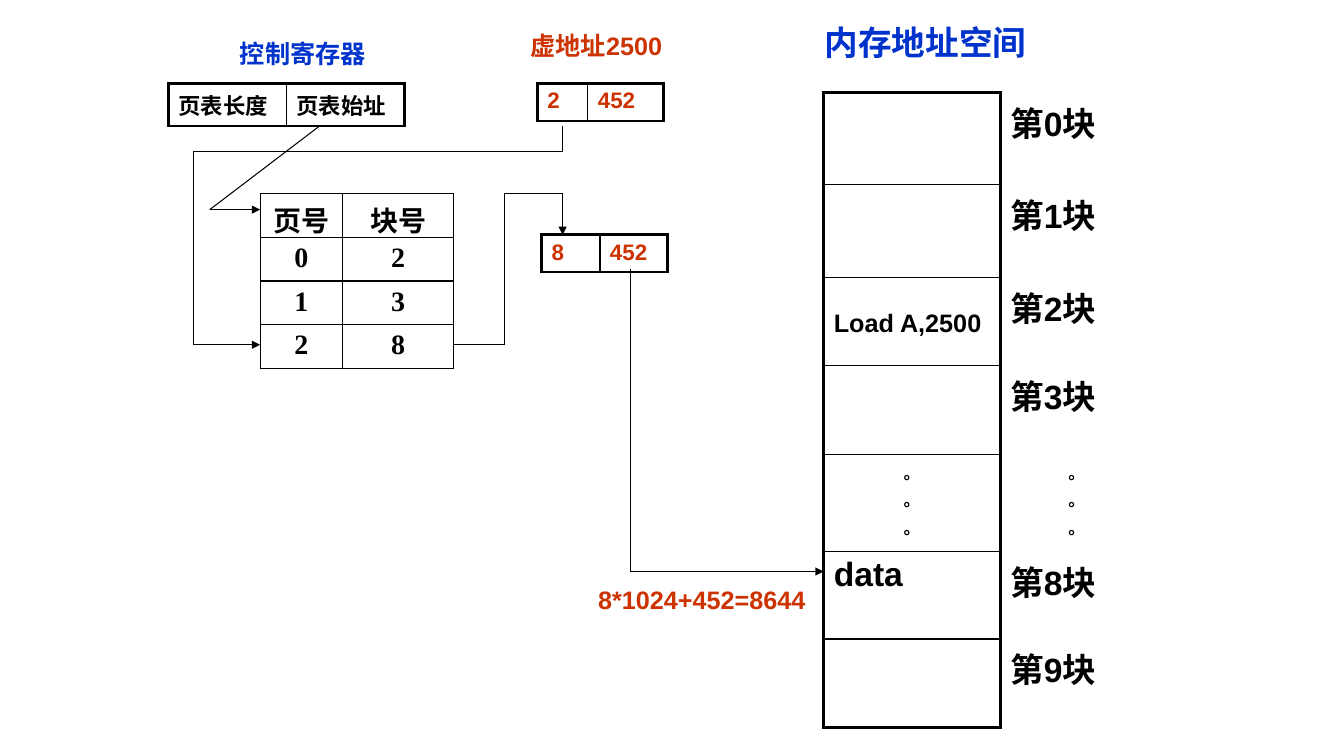
from lxml import etree
from pptx import Presentation
from pptx.dml.color import RGBColor
from pptx.enum.shapes import MSO_CONNECTOR
from pptx.enum.text import MSO_ANCHOR, MSO_AUTO_SIZE, PP_ALIGN
from pptx.oxml.ns import qn
from pptx.util import Inches, Pt

LEFT, CENTER = PP_ALIGN.LEFT, PP_ALIGN.CENTER
TOP = MSO_ANCHOR.TOP
GROW = MSO_AUTO_SIZE.SHAPE_TO_FIT_TEXT
STRAIGHT = MSO_CONNECTOR.STRAIGHT
TITLE_ONLY = 5

COLORS = {"ink": "000000", "heading": "0033CC", "address": "CC3300"}
THICK, THIN, HAIR = 2.25, 1, 0.75
DOTS = "。\n。\n。"


class PagingSlide:
    def __init__(self, deck):
        self.page = deck.slides.add_slide(deck.slide_layouts[TITLE_ONLY])

    def add_text(self, frame, text, size, color, align=LEFT, font="Arial"):
        """Put each line of text in its own paragraph, as one bold run."""
        for index, line in enumerate(text.split("\n")):
            para = frame.add_paragraph() if index else frame.paragraphs[0]
            para.alignment = align
            if index:
                para.space_before = Pt(0.2 * size)
            span = para.add_run()
            span.text = line
            span.font.name = font
            span.font.size = Pt(size)
            span.font.bold = True
            span.font.color.rgb = RGBColor.from_string(COLORS[color])

    def fill_box(self, box, text, size, color, align):
        frame = box.text_frame
        frame.word_wrap = True
        frame.auto_size = GROW
        frame.vertical_anchor = TOP
        self.add_text(frame, text, size, color, align)

    def title(self, text, left, top, width, height):
        box = self.page.shapes.title
        box.left, box.top = Inches(left), Inches(top)
        box.width, box.height = Inches(width), Inches(height)
        self.fill_box(box, text, 24, "heading", LEFT)

    def label(self, text, left, top, width, color):
        box = self.page.shapes.add_textbox(
            Inches(left), Inches(top), Inches(width), Inches(0.4))
        self.fill_box(box, text, 18, color, CENTER)

    def border(self, cell, side, width):
        """Draw one cell edge; a width of None leaves it bare."""
        edge = etree.SubElement(cell._tc.get_or_add_tcPr(), qn(f"a:{side}"))
        if width is None:
            etree.SubElement(edge, qn("a:noFill"))
            return
        edge.set("w", str(Pt(width)))
        fill = etree.SubElement(edge, qn("a:solidFill"))
        etree.SubElement(fill, qn("a:srgbClr"), val=COLORS["ink"])

    def table(self, left, top, widths, heights, rows, size, color="ink",
              align=LEFT, font="Arial", outline=THICK, framed=None):
        """Add a table whose first `framed` columns are ruled."""
        framed = framed or len(widths)
        grid = self.page.shapes.add_table(
            len(heights), len(widths), Inches(left), Inches(top),
            Inches(sum(widths)), Inches(sum(heights))).table
        grid.first_row = grid.horz_banding = False
        for column, width in zip(grid.columns, widths):
            column.width = Inches(width)
        for row, height in zip(grid.rows, heights):
            row.height = Inches(height)
        for r, texts in enumerate(rows):
            for c, text in enumerate(texts):
                cell = grid.cell(r, c)
                ruled = c < framed
                right = outline if c == framed - 1 else THIN
                edges = {
                    "lnL": outline if c in (0, framed) else THIN,
                    "lnR": right if ruled else None,
                    "lnT": (THIN if r else outline) if ruled else None,
                    "lnB": (THIN if r < len(rows) - 1 else outline) if ruled else None,
                }
                for side, width in edges.items():
                    self.border(cell, side, width)
                cell.fill.background()
                if text == DOTS:
                    self.add_text(cell.text_frame, text, 12, color, CENTER, font)
                elif text:
                    self.add_text(cell.text_frame, text, size, color, align, font)
        return grid

    def route(self, points):
        """Join points with grouped straight lines, ending in an arrowhead."""
        group = self.page.shapes.add_group_shape()
        for start, end in zip(points, points[1:]):
            connector = group.shapes.add_connector(
                STRAIGHT, *(Inches(value) for value in start + end))
            connector.line.color.rgb = RGBColor.from_string(COLORS["ink"])
            connector.line.width = Pt(HAIR)
            properties = connector._element.spPr
            if end == points[-1]:
                etree.SubElement(properties.find(qn("a:ln")),
                                 qn("a:tailEnd"), type="triangle")
            etree.SubElement(properties, qn("a:effectLst"))


def main():
    deck = Presentation()
    deck.slide_width, deck.slide_height = Inches(13.33), Inches(7.5)
    slide = PagingSlide(deck)

    slide.title("内存地址空间", 8.08, 0.17, 2.42, 0.5)
    blocks = [("", "第0块"), ("", "第1块"), ("Load A,2500", "第2块"),
              ("", "第3块"), (DOTS, DOTS), ("data", "第8块"), ("", "第9块")]
    memory = slide.table(8.17, 0.92, [1.75, 1.52],
                         [0.91, 0.92, 0.88, 0.88, 0.96, 0.87, 0.88],
                         blocks, 24, framed=1)
    instruction = memory.cell(2, 0)
    instruction.margin_top = Inches(0.32)
    instruction.text_frame.paragraphs[0].runs[0].font.size = Pt(18)

    slide.label("控制寄存器", 2.17, 0.33, 1.67, "heading")
    slide.table(1.67, 0.83, [1.17, 1.17], [0.42], [("页表长度", "页表始址")], 16)
    page_table = [("页号", "块号"), ("0", "2"), ("1", "3"), ("2", "8")]
    slide.table(2.58, 1.92, [0.82, 1.1], [0.43] * 4, page_table, 20,
                align=CENTER, font="Times New Roman", outline=THIN)

    slide.label("虚地址2500", 5.08, 0.25, 1.67, "address")
    slide.table(5.33, 0.83, [0.5, 0.75], [0.37], [("2", "452")], 16, "address")
    slide.table(5.37, 2.33, [0.58, 0.67], [0.37], [("8", "452")], 16, "address")

    slide.route([(3.17, 1.25), (2.08, 2.08), (2.58, 2.08)])
    slide.route([(5.58, 1.25), (5.58, 1.5), (1.92, 1.5), (1.92, 3.42), (2.58, 3.42)])
    slide.route([(4.5, 3.42), (5, 3.42), (5, 1.92), (5.58, 1.92), (5.58, 2.33)])
    slide.route([(6.25, 2.67), (6.25, 5.67), (8.17, 5.67)])
    slide.label("8*1024+452=8644", 5.75, 5.75, 2.42, "address")

    deck.save("out.pptx")


if __name__ == "__main__":
    main()
